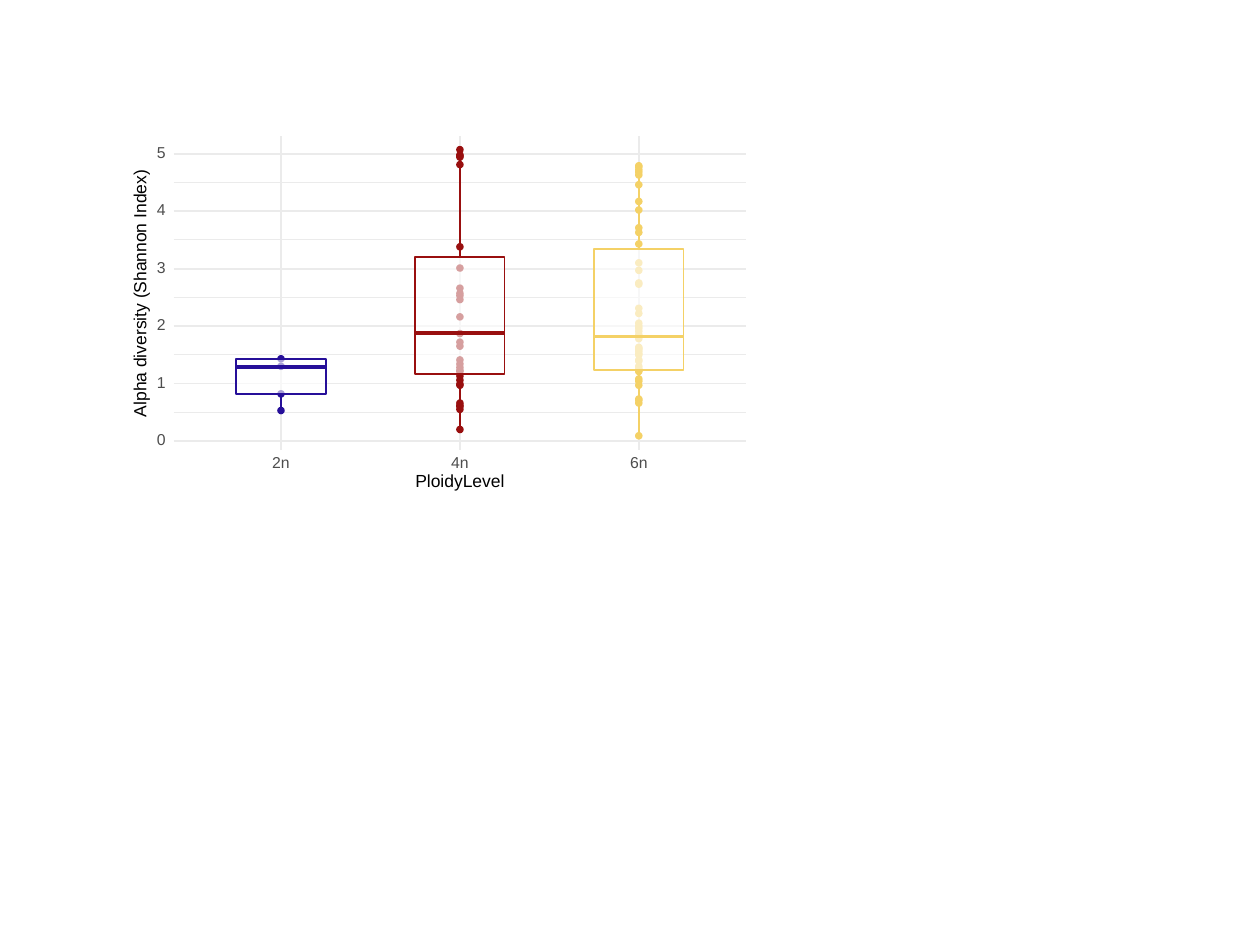
from lxml.etree import SubElement
from pptx import Presentation
from pptx.dml.color import RGBColor as RGB
from pptx.enum.shapes import MSO_CONNECTOR as Link, MSO_SHAPE as Form
from pptx.enum.text import MSO_ANCHOR as Anchor, PP_ALIGN as Align
from pptx.oxml.ns import qn
from pptx.util import Inches, Pt

COLORS = {"paper": "FFFFFF", "grid": "EBEBEB", "tick": "4D4D4D", "ink": "000000",
          "2n": "260F99", "4n": "990F0F", "6n": "F4D166"}

# Plot area in inches
LEFT, RIGHT, TOP, BASE = 1.38, 5.92, 1.08, 3.57
ZERO, UNIT = 3.5, 0.456      # height of value 0, inches per index unit
FIRST, STEP = 2.23, 1.42     # first column centre, column pitch
WIDE, DOT = 0.71, 0.05
THIN, LINE, BOLD = 0.53, 1.07, 2.13

# Low end, lower quartile, median, upper quartile, high end
BOXES = {
    "2n": (0.55, 0.81, 1.29, 1.43, 1.43),
    "4n": (0.20, 1.16, 1.88, 3.20, 5.07),
    "6n": (0.09, 1.23, 1.82, 3.34, 4.78),
}

# Shannon index of each sample
DOTS = {
    "2n": (0.53, 0.82, 1.30, 1.43),
    "4n": (0.20, 0.55, 0.60, 0.62, 0.66, 0.97, 0.99, 1.06, 1.13, 1.21,
           1.23, 1.28, 1.34, 1.41, 1.65, 1.72, 1.87, 2.16, 2.46, 2.53,
           2.57, 2.66, 3.01, 3.38, 4.81, 4.94, 4.96, 4.98, 5.07),
    "6n": (0.09, 0.66, 0.71, 0.73, 0.97, 1.04, 1.08, 1.21, 1.23, 1.26,
           1.30, 1.39, 1.41, 1.50, 1.52, 1.56, 1.59, 1.61, 1.63, 1.78,
           1.85, 1.91, 1.96, 2.00, 2.05, 2.22, 2.31, 2.73, 2.75, 2.97,
           3.10, 3.43, 3.63, 3.71, 4.02, 4.17, 4.46, 4.63, 4.68, 4.72,
           4.77, 4.79),
}


def level(value):
    return ZERO - value * UNIT


def column(index):
    return FIRST + index * STEP


def color(name):
    return RGB.from_string(COLORS[name])


def add_line(shapes, x1, y1, x2, y2, name, width):
    line = shapes.add_connector(Link.STRAIGHT, *map(Inches, (x1, y1, x2, y2)))
    line.line.color.rgb = color(name)
    line.line.width = Pt(width)
    SubElement(line._element.spPr, qn("a:effectLst"))


def add_form(shapes, form, x, y, w, h, fill, edge, width, alpha=None):
    shape = shapes.add_shape(form, *map(Inches, (x, y, w, h)))
    shape.shadow.inherit = False
    shape.fill.solid()
    shape.fill.fore_color.rgb = color(fill)
    shape.line.color.rgb = color(edge)
    shape.line.width = Pt(width)
    if alpha is not None:
        tint = shape._element.spPr.find(qn("a:solidFill"))[0]
        SubElement(tint, qn("a:alpha")).set("val", str(alpha * 1000))


def add_text(shapes, text, x, y, w, h, size=9, name="tick", turn=0):
    """Place text with its centre at x, y."""
    box = shapes.add_textbox(*map(Inches, (x - w / 2, y - h / 2, w, h)))
    box.rotation = turn
    frame = box.text_frame
    frame.word_wrap = False
    frame.vertical_anchor = Anchor.MIDDLE
    frame.margin_left = frame.margin_right = 0
    frame.margin_top = frame.margin_bottom = 0
    para = frame.paragraphs[0]
    para.alignment = Align.CENTER
    para.line_spacing = Pt(size)
    run = para.add_run()
    run.text = text
    run.font.name = "Arial"
    run.font.size = Pt(size)
    run.font.color.rgb = color(name)


def add_grid(shapes):
    for i in range(5):
        y = level(i + 0.5)
        add_line(shapes, LEFT, y, RIGHT, y, "grid", THIN)
    for i in range(6):
        add_line(shapes, LEFT, level(i), RIGHT, level(i), "grid", LINE)
    for i in range(len(BOXES)):
        add_line(shapes, column(i), BASE, column(i), TOP, "grid", LINE)


def add_dots(shapes, x, name):
    for value in DOTS[name]:
        add_form(shapes, Form.OVAL, x - DOT / 2, level(value) - DOT / 2,
                 DOT, DOT, name, name, 0.71)


def add_box(shapes, x, name):
    low, lower, mid, upper, high = map(level, BOXES[name])
    left = x - WIDE / 2
    for start, end in ((upper, high), (lower, low)):
        if start != end:
            add_line(shapes, x, start, x, end, name, LINE)
    add_form(shapes, Form.RECTANGLE, left, upper, WIDE, lower - upper,
             "paper", name, LINE, alpha=60)
    add_line(shapes, left, mid, left + WIDE, mid, name, BOLD)


def add_labels(shapes):
    for i, name in enumerate(BOXES):
        add_text(shapes, name, column(i), 3.68, 0.14, 0.09)
    for i in range(6):
        add_text(shapes, str(i), 1.28, level(i), 0.07, 0.09)
    add_text(shapes, "PloidyLevel", column(1), 3.83, WIDE, 0.13,
             size=10, name="ink")
    add_text(shapes, "Alpha diversity (Shannon Index)", 1.12, 2.33, 1.97, 0.13,
             size=10, name="ink", turn=270)


def main():
    deck = Presentation()
    deck.slide_width, deck.slide_height = Inches(10), Inches(7.5)
    slide = deck.slides.add_slide(deck.slide_layouts[6])
    plot = slide.shapes.add_group_shape().shapes

    # Panel and grid
    add_form(plot, Form.RECTANGLE, 1, 1, 5, 3, "paper", "paper", 0.75)
    add_grid(plot)

    # Samples below, box plots above
    for draw in (add_dots, add_box):
        for i, name in enumerate(BOXES):
            draw(plot, column(i), name)

    add_labels(plot)
    deck.save("out.pptx")


if __name__ == "__main__":
    main()
